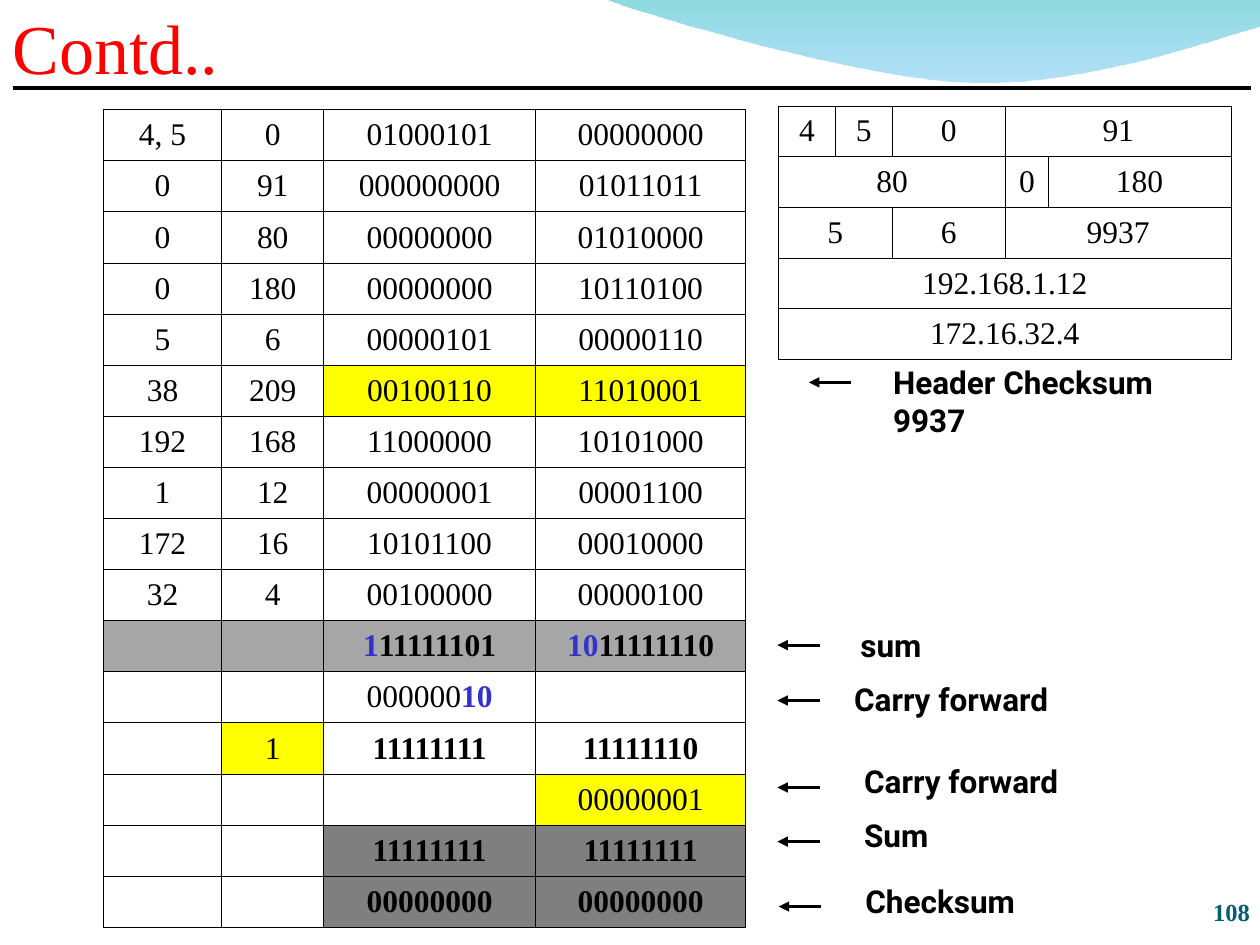
from dataclasses import dataclass
from typing import NamedTuple

from lxml.etree import SubElement as Sub
from pptx import Presentation as Deck
from pptx.dml.color import RGBColor as Rgb
from pptx.enum.shapes import MSO_CONNECTOR as Link
from pptx.enum.text import MSO_ANCHOR as Anchor, PP_ALIGN as Align
from pptx.oxml.ns import qn
from pptx.util import Inches, Pt


@dataclass(frozen=True)
class Theme:
    black: str = "000000"
    red: str = "FF0000"
    blue: str = "3333CC"
    teal: str = "045C75"
    gold: str = "FFFF00"
    light: str = "A6A6A6"
    dark: str = "7F7F7F"
    wave: tuple = (("00ADB6", 45), ("009BE5", 30))
    serif: str = "Times New Roman"
    sans: str = "Roboto"
    head: int = 40
    body: int = 18
    foot: int = 14
    edge: float = 0.45
    rule: float = 2.25
    arrow: float = 1.75


class Box(NamedTuple):
    left: float
    top: float
    width: float
    height: float


class Note(NamedTuple):
    text: str
    tip: float
    line: float
    left: float
    top: float
    width: float = 21.7
    height: float = 4


class Bit(NamedTuple):
    text: str
    bold: bool = False
    color: str = Theme.black


class Cell(NamedTuple):
    bits: tuple = ()
    fill: str = ""
    span: int = 1


T = Theme()
STEP = Inches(0.1)

SUMS = """4, 5|0|01000101|00000000
0|91|000000000|01011011
0|80|00000000|01010000
0|180|00000000|10110100
5|6|00000101|00000110
38|209|00100110|11010001
192|168|11000000|10101000
1|12|00000001|00001100
172|16|10101100|00010000
32|4|00100000|00000100
||111111101|1011111110
||00000010|
|1|11111111|11111110
|||00000001
||11111111|11111111
||00000000|00000000"""
FILLS = {(5, 2): T.gold, (5, 3): T.gold, (12, 1): T.gold, (13, 3): T.gold,
         **{(10, col): T.light for col in range(4)},
         **{(row, col): T.dark for row in (14, 15) for col in (2, 3)}}
BOLD = {(row, col) for row in (12, 14, 15) for col in (2, 3)}
MIXED = {(10, 2): (Bit("1", True, T.blue), Bit("11111101", True)),
         (10, 3): (Bit("10", True, T.blue), Bit("11111110", True)),
         (11, 2): (Bit("000000"), Bit("10", True, T.blue))}

HEADER = [[("4", 1), ("5", 1), ("0", 1), ("91", 2)],
          [("80", 3), ("0", 1), ("180", 1)],
          [("5", 2), ("6", 1), ("9937", 2)],
          [("192.168.1.12", 5)],
          [("172.16.32.4", 5)]]

NOTES = [Note("Header Checksum\n9937", 64.2, 30.35, 69.9, 28.3, 27.6, 7),
         Note("sum", 61.7, 51.2, 67.3, 49.2, 9.2),
         Note("Carry forward", 61.7, 55.6, 66.8, 53.5),
         Note("Carry forward", 61.7, 62.5, 67.6, 60),
         Note("Sum", 61.7, 66.8, 67.6, 64.3),
         Note("Checksum", 61.8, 71.95, 67.7, 69.5)]


def grid(*marks: float) -> list[int]:
    return [round(mark * STEP) for mark in marks]


def style(run, size: int, face: str, color: str, bold: bool = False) -> None:
    run.font.size, run.font.name, run.font.bold = Pt(size), face, bold
    run.font.color.rgb = Rgb.from_string(color)


def pad(frame, *sides: float) -> None:
    (frame.margin_left, frame.margin_top,
     frame.margin_right, frame.margin_bottom) = grid(*sides)


def write(frame, text: str, size: int, face: str, color: str, bold: bool) -> None:
    frame.word_wrap = True
    frame.text = text
    for para in frame.paragraphs:
        for run in para.runs:
            style(run, size, face, color, bold)


def stroke(shapes, ends: tuple, width: float, arrow: bool = False) -> None:
    line = shapes.add_connector(Link.STRAIGHT, *grid(*ends))
    line.line.color.rgb = Rgb.from_string(T.black)
    line.line.width = Pt(width)
    if arrow:
        Sub(line.line._get_or_add_ln(), qn("a:tailEnd"), type="triangle")
    Sub(line._element.spPr, qn("a:effectLst"))


def curve(start: tuple, pull: tuple, push: tuple, end: tuple, count: int = 24) -> list:
    def blend(axis: int, t: float) -> float:
        s = 1 - t
        return (s ** 3 * start[axis] + 3 * s * s * t * pull[axis]
                + 3 * s * t * t * push[axis] + t ** 3 * end[axis])
    return [tuple(grid(blend(0, i / count), blend(1, i / count)))
            for i in range(1, count + 1)]


def wave(shapes) -> None:
    start, low, end = (47.9, -0.1), (76.9, 6.5), (100, 2.1)
    pen = shapes.build_freeform(*grid(*start))
    pen.add_line_segments(curve(start, (50.9, 1.1), (68.2, 6.2), low)
                          + curve(low, (85.6, 6.9), (96.1, 3.2), end)
                          + [tuple(grid(100, 0))])
    shape = pen.convert_to_shape()
    shape.shadow.inherit = False
    shape.line.fill.background()
    shape.fill.gradient()
    shape.fill.gradient_angle = 270
    for place, (stop, (color, alpha)) in enumerate(zip(shape.fill.gradient_stops, T.wave)):
        stop.position = place
        stop.color.rgb = Rgb.from_string(color)
        tone = stop._gs.find(qn("a:srgbClr"))
        Sub(tone, qn("a:alpha"), val=str(alpha * 1000))


def frame(cell) -> None:
    props = cell._tc.get_or_add_tcPr()
    for side in "LRTB":
        edge = Sub(props, qn(f"a:ln{side}"), w=str(Pt(T.edge)))
        Sub(Sub(edge, qn("a:solidFill")), qn("a:srgbClr"), val=T.black)


def table(shapes, box: Box, wide: list, rows: list[list[Cell]]) -> None:
    made = shapes.add_table(len(rows), len(wide), *grid(*box)).table
    made.first_row = made.horz_banding = False
    for col, width in zip(made.columns, grid(*wide)):
        col.width = width
    for row in made.rows:
        row.height = grid(box.height / len(rows))[0]
    for cell in made.iter_cells():
        frame(cell)
        cell.fill.background()
        cell.vertical_anchor = Anchor.MIDDLE
    for r, row in enumerate(rows):
        c = 0
        for item in row:
            cell = made.cell(r, c)
            if item.span > 1:
                cell.merge(made.cell(r, c + item.span - 1))
            if item.fill:
                cell.fill.solid()
                cell.fill.fore_color.rgb = Rgb.from_string(item.fill)
            para = cell.text_frame.paragraphs[0]
            para.alignment = Align.CENTER
            for bit in item.bits:
                run = para.add_run()
                run.text = bit.text
                style(run, T.body, T.serif, bit.color, bit.bold)
            c += item.span


def sums() -> list[list[Cell]]:
    def build(text: str, key: tuple) -> Cell:
        plain = (Bit(text, key in BOLD),) if text else ()
        return Cell(MIXED.get(key, plain), FILLS.get(key, ""))
    return [[build(text, (r, c)) for c, text in enumerate(line.split("|"))]
            for r, line in enumerate(SUMS.splitlines())]


def main() -> None:
    deck = Deck()
    deck.slide_width, deck.slide_height = grid(100, 75)
    slide = deck.slides.add_slide(deck.slide_layouts[5])
    shapes = slide.shapes
    wave(shapes)
    stroke(shapes, (1, 7, 99.3, 7), T.rule)

    title = shapes.title
    title.left, title.top, title.width, title.height = grid(1, 0.7, 99, 6.3)
    write(title.text_frame, "Contd..", T.head, T.serif, T.red, False)
    title.text_frame.vertical_anchor = Anchor.BOTTOM
    title.text_frame.paragraphs[0].alignment = Align.LEFT
    pad(title.text_frame, 0, 0.5, 0, 0)

    page = shapes.add_textbox(*grid(96.2, 69.5, 3, 4)).text_frame
    write(page, "108", T.foot, T.serif, T.teal, True)
    page.vertical_anchor = Anchor.BOTTOM
    page.paragraphs[0].alignment = Align.RIGHT
    pad(page, 0, 0, 0, 0)

    table(shapes, Box(8.2, 8.7, 51.1, 64.9), [9.4, 8.1, 16.8, 16.7], sums())
    for note in NOTES:
        stroke(shapes, (note.tip + 3.35, note.line, note.tip, note.line), T.arrow, True)
        label = shapes.add_textbox(*grid(note.left, note.top, note.width, note.height))
        write(label.text_frame, note.text, T.body, T.sans, T.black, True)
    table(shapes, Box(61.8, 8.4, 35.8, 20.15), [4.5, 4.5, 9, 3.4, 14.5],
          [[Cell((Bit(text),), span=span) for text, span in row] for row in HEADER])
    deck.save("out.pptx")


if __name__ == "__main__":
    main()
